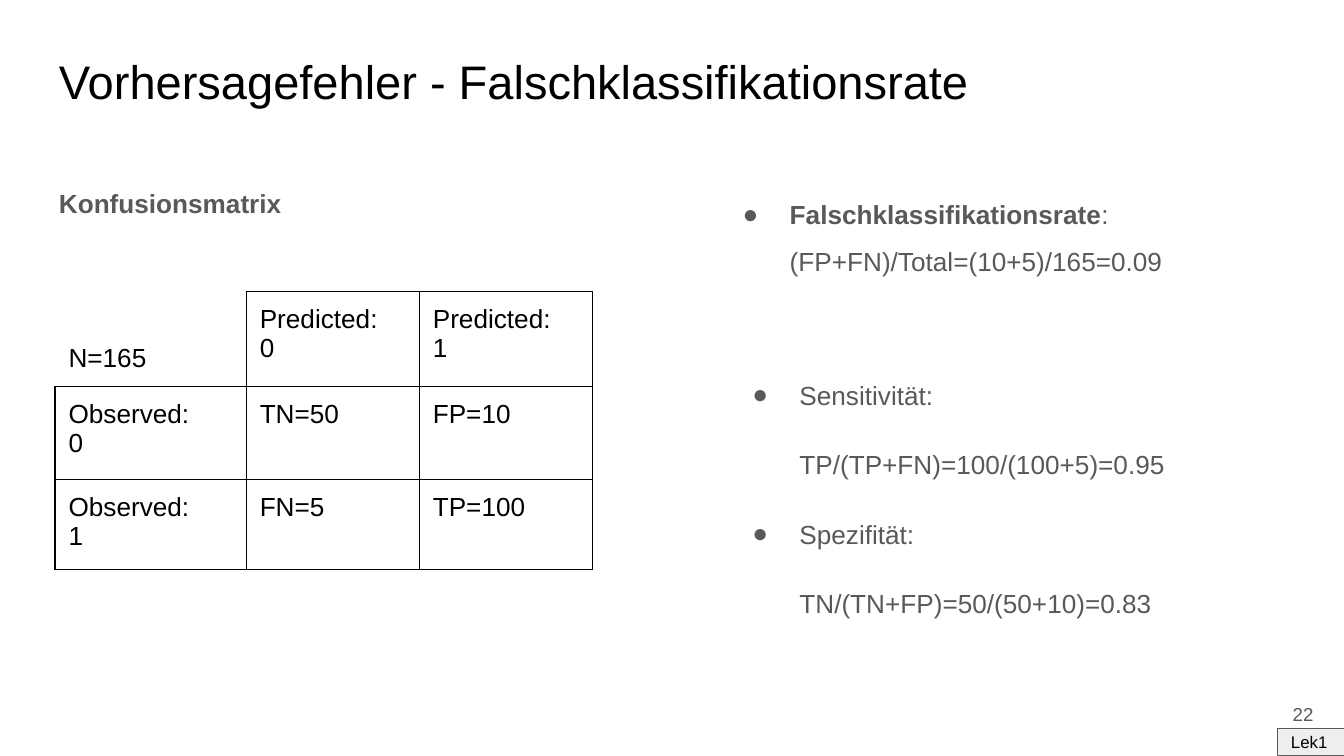
from lxml.etree import SubElement
from pptx import Presentation
from pptx.dml.color import RGBColor
from pptx.enum.shapes import MSO_SHAPE as Shape
from pptx.enum.text import MSO_ANCHOR as Anchor, PP_ALIGN as Align
from pptx.oxml import parse_xml
from pptx.oxml.ns import nsdecls, qn
from pptx.util import Pt

COLORS = {"ink": "000000", "body": "595959", "tag": "EEEEEE"}
FONT = "Arial"
INSET = 7.2
LINE_WIDTH = 0.75
TEXT_INDENT = 36
BULLET_HANG = -25.2


class SlideBuilder:
    def __init__(self, slide):
        self.slide = slide

    def color(self, name):
        return RGBColor.from_string(COLORS[name])

    def style(self, para, size, color, bold=False):
        for span in para.runs:
            span.font.name = FONT
            span.font.size = Pt(size)
            span.font.bold = bold
            span.font.color.rgb = self.color(color)

    def frame(self, shape, anchor=Anchor.TOP):
        frame = shape.text_frame
        frame.word_wrap = True
        frame.vertical_anchor = anchor
        frame.margin_left = frame.margin_right = Pt(INSET)
        frame.margin_top = frame.margin_bottom = Pt(INSET)
        return frame

    def text_box(self, left, top, width, height, anchor=Anchor.TOP):
        box = self.slide.shapes.add_textbox(Pt(left), Pt(top), Pt(width), Pt(height))
        return self.frame(box, anchor)

    def line(self, place, text, size, color="body", bold=False,
             align=Align.LEFT, anchor=Anchor.TOP, spacing=1.0):
        para = self.text_box(*place, anchor).paragraphs[0]
        para.text = text
        para.alignment = align
        para.line_spacing = spacing
        self.style(para, size, color, bold)

    def indent(self, para, bullet):
        props = para._p.get_or_add_pPr()
        props.set("marL", str(Pt(TEXT_INDENT)))
        props.set("indent", str(Pt(BULLET_HANG) if bullet else 0))
        if bullet:
            tint = SubElement(props, qn("a:buClr"))
            SubElement(tint, qn("a:srgbClr")).set("val", COLORS["body"])
            SubElement(props, qn("a:buFont")).set("typeface", FONT)
            SubElement(props, qn("a:buChar")).set("char", "●")

    def bullets(self, place, items, gap=0):
        """Each item is (has bullet, bold lead, plain text)."""
        frame = self.text_box(*place)
        for index, (bullet, lead, text) in enumerate(items):
            para = frame.add_paragraph() if index else frame.paragraphs[0]
            self.indent(para, bullet)
            para.line_spacing = 1.5
            if index:
                para.space_before = Pt(gap)
            para.text = text
            self.style(para, 14, "body")
            if lead:
                rest = para.runs[0]
                rest.text = lead
                rest.font.bold = True
                para.add_run().text = text
                self.style(para, 14, "body")
                rest.font.bold = True

    def borders(self, cell, hidden):
        props = cell._tc.get_or_add_tcPr()
        for index, side in enumerate("LRTB"):
            paint = ("<a:noFill/>" if side in hidden else
                     f'<a:solidFill><a:srgbClr val="{COLORS["ink"]}"/></a:solidFill>')
            props.insert(index, parse_xml(
                f'<a:ln{side} {nsdecls("a")} w="{Pt(LINE_WIDTH)}">{paint}</a:ln{side}>'))

    def table(self, left, top, widths, heights, rows):
        holder = self.slide.shapes.add_table(
            len(rows), len(widths), Pt(left), Pt(top), Pt(sum(widths)), Pt(sum(heights)))
        table = holder.table
        table.first_row = table.horz_banding = False
        for column, width in zip(table.columns, widths):
            column.width = Pt(width)
        for r, (texts, height) in enumerate(zip(rows, heights)):
            table.rows[r].height = Pt(height)
            for c, text in enumerate(texts):
                cell = table.cell(r, c)
                corner = r == c == 0
                cell.margin_left = cell.margin_right = Pt(INSET)
                cell.margin_top = cell.margin_bottom = Pt(INSET)
                cell.vertical_anchor = Anchor.BOTTOM if corner else Anchor.TOP
                cell.text_frame.text = text
                for para in cell.text_frame.paragraphs:
                    self.style(para, 14, "ink")
                cell.fill.background()
                self.borders(cell, "LT" if corner else "")

    def tag(self, left, top, width, height, text):
        box = self.slide.shapes.add_shape(
            Shape.RECTANGLE, Pt(left), Pt(top), Pt(width), Pt(height))
        box.shadow.inherit = False
        box.fill.solid()
        box.fill.fore_color.rgb = self.color("tag")
        box.line.color.rgb = self.color("body")
        box.line.width = Pt(LINE_WIDTH)
        para = self.frame(box, Anchor.MIDDLE).paragraphs[0]
        para.text = text
        para.alignment = Align.LEFT
        self.style(para, 9, "ink")


def main():
    deck = Presentation()
    deck.slide_width, deck.slide_height = Pt(720), Pt(405)
    page = SlideBuilder(deck.slides.add_slide(deck.slide_layouts[6]))

    # Title
    page.line((24.5, 21, 671, 45), "Vorhersagefehler - Falschklassifikationsrate",
              25.2, "ink")

    # Confusion matrix
    page.table(29.5, 156, [102.5, 92.7, 92.7], [51, 49.7, 48.5], [
        ["N=165", "Predicted:\n0", "Predicted:\n1"],
        ["Observed:\n0", "TN=50", "FP=10"],
        ["Observed:\n1", "FN=5", "TP=100"],
    ])
    page.line((24.5, 90.7, 314.6, 35), "Konfusionsmatrix", 14, bold=True, spacing=1.15)

    # Error rates
    page.bullets((380, 90.7, 314.6, 77), [
        (True, "Falschklassifikationsrate", ": (FP+FN)/Total=(10+5)/165=0.09"),
    ])
    page.bullets((385.2, 187.5, 296, 144), [
        (True, "", "Sensitivität:"),
        (False, "", "TP/(TP+FN)=100/(100+5)=0.95"),
        (True, "", "Spezifität:"),
        (False, "", "TN/(TN+FP)=50/(50+10)=0.83"),
    ], gap=12)

    # Page number and lecture tag
    page.line((667.5, 367.2, 43.2, 31), "22", 10, align=Align.RIGHT, anchor=Anchor.MIDDLE)
    page.tag(684.5, 390.2, 37.5, 14.5, "Lek1")

    deck.save("out.pptx")


if __name__ == "__main__":
    main()
